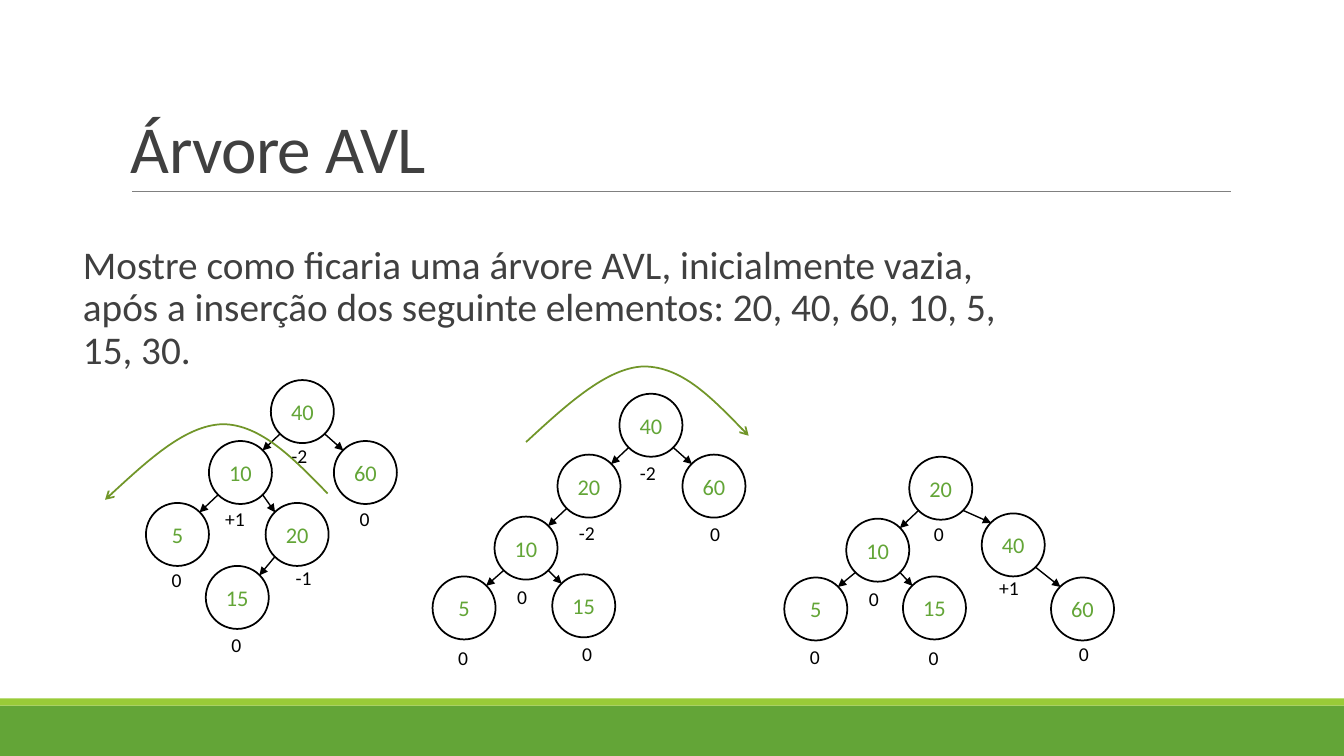
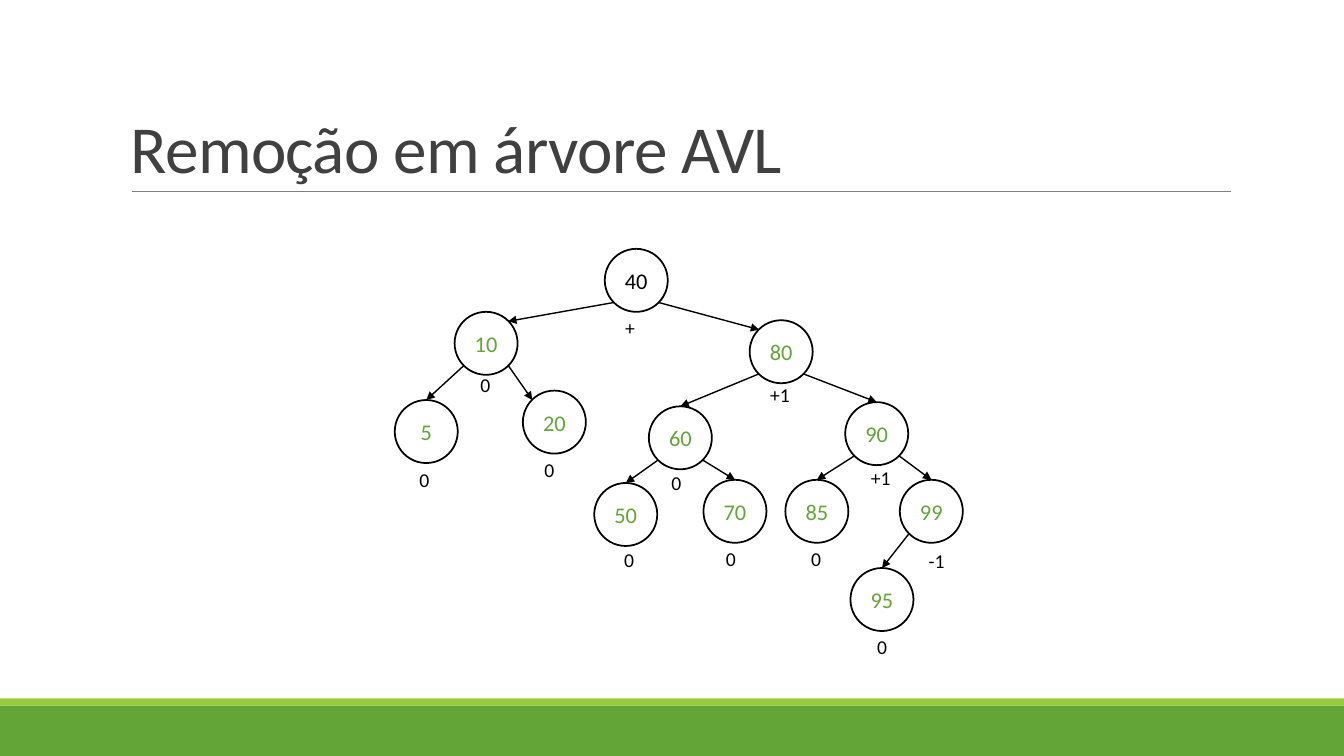
from dataclasses import dataclass
from lxml.etree import SubElement
from pptx import Presentation
from pptx.dml.color import RGBColor as RGB
from pptx.enum.shapes import MSO_CONNECTOR as LINK, MSO_SHAPE as SHAPE
from pptx.enum.text import MSO_ANCHOR as ANCHOR, MSO_AUTO_SIZE as FIT, PP_ALIGN as ALIGN
from pptx.oxml.ns import qn
from pptx.util import Pt

PX = 9525  # EMU in one px
DISC = 60  # node diameter
NEAR, FAR = 9, 51  # where the diagonals cross a node's outline


@dataclass(frozen=True)
class Theme:
    face: str = "Calibri"
    green: RGB = RGB(0x63, 0xA5, 0x37)
    lime: RGB = RGB(0x99, 0xCB, 0x38)
    olive: RGB = RGB(0x71, 0x96, 0x29)
    ink: RGB = RGB(0x40, 0x40, 0x40)
    gray: RGB = RGB(0x80, 0x80, 0x80)
    black: RGB = RGB(0, 0, 0)
    white: RGB = RGB(255, 255, 255)
    title: Pt = Pt(48)
    body: Pt = Pt(28)
    node: Pt = Pt(16)
    label: Pt = Pt(14)


look = Theme()


def stroke(shape, color, width, end=None, kind=None):
    """Outline a shape without shadow, with an optional arrowhead."""
    shape.line.color.rgb = color
    shape.line.width = Pt(width)
    props = shape.element.spPr
    if end:
        SubElement(props.find(qn("a:ln")), qn(end), type=kind)
    SubElement(props, qn("a:effectLst"))


def grow(shapes, nodes):
    """Draw a tree, parents listed first; return its discs by key."""
    discs, spots = {}, {}
    for key, x, y, root, top, mark, left, high in nodes:
        disc = shapes.add_shape(SHAPE.OVAL, x * PX, y * PX, DISC * PX, DISC * PX)
        disc.fill.background()
        stroke(disc, look.black, 1.25)
        frame = disc.text_frame
        frame.text, frame.word_wrap = key, False
        frame.vertical_anchor = ANCHOR.MIDDLE
        para = frame.paragraphs[0]
        para.alignment = ALIGN.CENTER
        para.font.name, para.font.size = look.face, look.node
        para.font.color.rgb = look.green
        discs[key], spots[key] = disc, (x, y)

        # Arrow from the parent
        if root:
            px, py = spots[root]
            start, stop = (NEAR, FAR) if x < px else (FAR, NEAR)
            ends = (px + start, py + FAR, x + stop, y + NEAR)
            arrow = shapes.add_connector(LINK.STRAIGHT, *(n * PX for n in ends))
            if top:
                arrow.end_connect(disc, 0)
            stroke(arrow, look.black, 1, "a:tailEnd", "triangle")

        # Balance factor
        wide = 30 if len(mark) == 1 else 38
        box = shapes.add_textbox(left * PX, high * PX, wide * PX, 32 * PX)
        frame = box.text_frame
        frame.text, frame.word_wrap = mark, False
        frame.auto_size = FIT.SHAPE_TO_FIT_TEXT
        font = frame.paragraphs[0].font
        font.name, font.size, font.color.rgb = look.face, look.label, look.black
    return discs


deck = Presentation()
deck.slide_width, deck.slide_height = 1280 * PX, 720 * PX
first = deck.slides.add_slide(deck.slide_layouts[1])
second = deck.slides.add_slide(deck.slide_layouts[5])

# Shared bands and title rule, moved to the master
master = deck.slide_master.shapes.element
for y, high, color in ((672, 48, look.green), (665, 7, look.lime)):
    band = first.shapes.add_shape(SHAPE.RECTANGLE, 0, y * PX, 1280 * PX, high * PX)
    band.fill.solid()
    band.fill.fore_color.rgb = color
    band.line.fill.background()
    band.shadow.inherit = False
    master.append(band.element)
rule = first.shapes.add_connector(LINK.STRAIGHT, *(n * PX for n in (126, 182, 1172, 182)))
stroke(rule, look.gray, 0.5)
master.append(rule.element)

# Titles
for slide, text in ((first, "Árvore AVL"), (second, "Remoção em árvore AVL")):
    title = slide.shapes.title
    title.left, title.top, title.width, title.height = (n * PX for n in (115, 30, 1056, 153))
    frame = title.text_frame
    frame.text, frame.auto_size = text, FIT.NONE
    frame.vertical_anchor = ANCHOR.BOTTOM
    para = frame.paragraphs[0]
    para.alignment, para.line_spacing = ALIGN.LEFT, 0.85
    para.font.name, para.font.size = look.face, look.title
    para.font.color.rgb = look.ink
    para.runs[0].font.size = look.title
    para.runs[0].font._element.set("spc", "-50")

# Exercise text
body = first.placeholders[1]
body.left, body.top, body.width, body.height = (n * PX for n in (69, 229, 902, 407))
frame = body.text_frame
frame.text = ("Mostre como ficaria uma árvore AVL, inicialmente vazia, após a inserção "
              "dos seguinte elementos: 20, 40, 60, 10, 5, 15, 30.")
frame.auto_size = FIT.NONE
frame.margin_left = frame.margin_right = 0
para = frame.paragraphs[0]
para.line_spacing, para.space_before, para.space_after = 0.9, Pt(0), Pt(2)
props = para._p.get_or_add_pPr()
props.set("marL", str(10 * PX))
props.set("indent", "0")
SubElement(props, qn("a:buNone"))
para.font.name, para.font.size, para.font.color.rgb = look.face, look.body, look.ink

# Insertion steps: key, x, y, parent, joins top, balance, label x, label y
steps = (
    (("40", 258, 362, None, False, "-2", 268, 418),
     ("10", 199, 420, "40", False, "+1", 205, 478),
     ("60", 318, 420, "40", False, "0", 333, 478),
     ("5", 139, 479, "10", False, "0", 154, 536),
     ("20", 253, 479, "10", False, "-1", 272, 534),
     ("15", 196, 539, "20", False, "0", 211, 598)),
    (("40", 590, 375, None, False, "-2", 600, 434),
     ("20", 531, 433, "40", False, "-2", 542, 491),
     ("60", 650, 433, "40", False, "0", 667, 492),
     ("10", 471, 492, "20", False, "0", 483, 552),
     ("5", 412, 549, "10", False, "0", 427, 610),
     ("15", 526, 547, "10", False, "0", 545, 607)),
    (("20", 866, 435, None, False, "0", 880, 492),
     ("10", 806, 494, "20", False, "0", 818, 554),
     ("40", 935, 489, "20", False, "+1", 942, 544),
     ("5", 747, 550, "10", False, "0", 762, 609),
     ("15", 860, 549, "10", False, "0", 875, 610),
     ("60", 1001, 550, "40", False, "0", 1018, 607)),
)
groups = []
for nodes in steps:
    group = first.shapes.add_group_shape()
    grow(group.shapes, nodes)
    groups.append(group)

# Rotation arrows: two Bézier curves each
curve = ((38, -35), (77, -71), (112, -72), (148, -72), (180, -39), (212, -6))
for group, x, y, end in ((groups[0], 100, 476, "a:headEnd"), (groups[1], 501, 421, "a:tailEnd")):
    pen = group.shapes.build_freeform(x, y, PX)
    pen.add_line_segments([(x + dx, y + dy) for dx, dy in curve], close=False)
    turn = pen.convert_to_shape()
    parts = list(turn.element.iter(qn("a:lnTo")))
    for trio in (parts[:3], parts[3:]):
        bend = SubElement(trio[0].getparent(), qn("a:cubicBezTo"))
        for part in trio:
            bend.append(part[0])
            part.getparent().remove(part)
    turn.fill.background()
    stroke(turn, look.olive, 1.25, end, "arrow")

# Removal tree
nodes = (
    ("40", 576, 237, None, False, "+", 586, 296),
    ("10", 433, 297, "40", False, "0", 448, 350),
    ("80", 714, 305, "40", False, "+1", 724, 360),
    ("5", 376, 381, "10", True, "0", 390, 441),
    ("20", 498, 372, "10", False, "0", 509, 431),
    ("60", 618, 387, "80", True, "0", 630, 444),
    ("90", 805, 383, "80", True, "+1", 820, 439),
    ("50", 566, 460, "60", True, "0", 585, 517),
    ("70", 670, 457, "60", True, "0", 682, 516),
    ("85", 748, 457, "90", True, "0", 763, 516),
    ("99", 857, 457, "90", True, "-1", 875, 518),
    ("95", 810, 541, "99", True, "0", 826, 600),
)
discs = grow(second.shapes, nodes)
for key in ("40", "20"):
    discs[key].fill.solid()
    discs[key].fill.fore_color.rgb = look.white
discs["40"].text_frame.paragraphs[0].font.color.rgb = look.black

deck.save("out.pptx")
